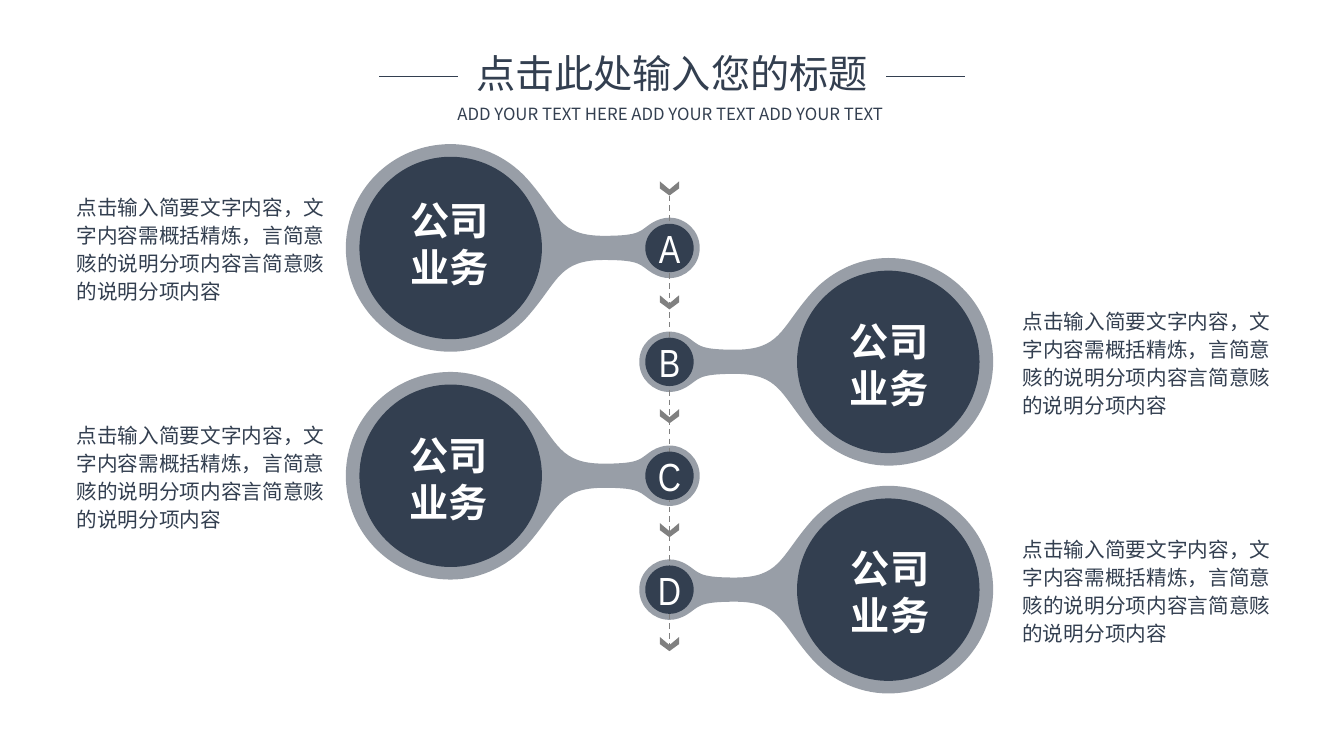
from lxml.etree import SubElement
from pptx import Presentation
from pptx.dml.color import RGBColor
from pptx.enum.dml import MSO_LINE
from pptx.enum.shapes import MSO_CONNECTOR, MSO_SHAPE
from pptx.enum.text import MSO_ANCHOR, MSO_AUTO_SIZE, PP_ALIGN
from pptx.oxml.ns import qn
from pptx.util import Inches, Pt

NAVY, GRAY, WHITE = "333F50", "808080", "FFFFFF"
CJK_FONT, LETTER_FONT = "Noto Sans CJK SC", "Arial Narrow"
BODY = "点击输入简要文字内容，文字内容需概括精炼，言简意赅的说明分项内容言简意赅的说明分项内容"

HUB_X, FIRST_HUB_Y, STEP = 6.64, 2.46, 1.13
HUB_SIZE, DISC_SIZE, DISC_OFFSET = 0.48, 1.81, 2.17

# Letter, side (-1 left, 1 right), label offset from the disc centre
ITEMS = [
    ("A", -1, -0.4, -0.51),
    ("B", 1, -0.38, -0.44),
    ("C", -1, -0.41, -0.44),
    ("D", 1, -0.37, -0.45),
]

# Bezier points of the link's upper edge, relative to the hub centre,
# from the far end of the disc to the far end of the hub
LINK_EDGE = [
    (3.21, 0),
    (3.21, -0.57), (2.75, -1.03), (2.17, -1.03),
    (1.86, -1.03), (1.57, -0.88), (1.38, -0.65),
    (1.10, -0.32), (1.09, -0.12), (0.65, -0.12),
    (0.27, -0.12), (0.30, -0.17), (0.17, -0.25),
    (0.12, -0.28), (0.06, -0.30), (0, -0.30),
    (-0.16, -0.30), (-0.30, -0.17), (-0.30, 0),
]
CHEVRON = [(0, 0.08), (-0.095, 0), (-0.095, 0.07), (0, 0.14), (0.095, 0.07), (0.095, 0)]


def color(value):
    return RGBColor.from_string(value)


def write_text(shape, text, *, size, font=CJK_FONT, fill=NAVY, bold=False,
               align=PP_ALIGN.LEFT, anchor=MSO_ANCHOR.TOP, spacing=None):
    frame = shape.text_frame
    frame.auto_size = MSO_AUTO_SIZE.NONE
    frame.word_wrap = True
    frame.vertical_anchor = anchor
    frame.margin_left = frame.margin_right = 0
    frame.margin_top = frame.margin_bottom = 0
    paragraph = frame.paragraphs[0]
    paragraph.alignment = align
    if spacing:
        paragraph.line_spacing = Pt(spacing)
    run = paragraph.add_run()
    run.text = text
    run.font.size = Pt(size)
    run.font.bold = bold
    run.font.color.rgb = color(fill)
    run.font.name = font
    SubElement(run.font._element, qn("a:ea"), typeface=font)


def add_text(slide, text, left, top, width, height, **text_format):
    box = slide.shapes.add_textbox(Inches(left), Inches(top), Inches(width), Inches(height))
    write_text(box, text, **text_format)


def paint(shape, fill, opacity=None):
    shape.shadow.inherit = False
    shape.fill.solid()
    shape.fill.fore_color.rgb = color(fill)
    shape.line.fill.background()
    if opacity:
        solid = shape._element.spPr.find(qn("a:solidFill"))
        SubElement(solid[0], qn("a:alpha"), val=str(opacity * 1000))


def add_line(slide, x1, y1, x2, y2, stroke, width, dash=None):
    line = slide.shapes.add_connector(
        MSO_CONNECTOR.STRAIGHT, Inches(x1), Inches(y1), Inches(x2), Inches(y2))
    line.line.color.rgb = color(stroke)
    line.line.width = Pt(width)
    if dash:
        line.line.dash_style = dash
    SubElement(line._element.spPr, qn("a:effectLst"))


def add_outline(slide, points, fill, opacity=None):
    start, *rest = [(Inches(x), Inches(y)) for x, y in points]
    builder = slide.shapes.build_freeform(*start)
    builder.add_line_segments(rest, close=True)
    shape = builder.convert_to_shape()
    paint(shape, fill, opacity)
    return shape


def bend_segments(shape):
    """Turn every three straight segments into one Bezier curve."""
    segments = list(shape._element.iter(qn("a:lnTo")))
    for index in range(0, len(segments), 3):
        curve = segments[index]
        curve.tag = qn("a:cubicBezTo")
        for segment in segments[index + 1:index + 3]:
            curve.append(segment[0])
            segment.getparent().remove(segment)


def add_circle(slide, center_x, center_y, size):
    circle = slide.shapes.add_shape(
        MSO_SHAPE.OVAL, Inches(center_x - size / 2), Inches(center_y - size / 2),
        Inches(size), Inches(size))
    paint(circle, NAVY)
    return circle


def add_link(slide, hub_y, side):
    lower_edge = [(x, -y) for x, y in LINK_EDGE[-2::-1]]
    points = [(HUB_X + side * x, hub_y + y) for x, y in LINK_EDGE + lower_edge]
    bend_segments(add_outline(slide, points, NAVY, 50))


def add_header(slide, left, top, width):
    title = slide.shapes.title
    title.left, title.top = Inches(left), Inches(top)
    title.width, title.height = Inches(width), Inches(0.48)
    write_text(title, "点击此处输入您的标题", size=28, align=PP_ALIGN.CENTER,
               anchor=MSO_ANCHOR.MIDDLE)
    for rule_left in (left - 0.86, left + width + 0.08):
        add_line(slide, rule_left, top + 0.28, rule_left + 0.78, top + 0.28, NAVY, 0.5)
    add_text(slide, "ADD YOUR TEXT HERE ADD YOUR TEXT ADD YOUR TEXT",
             left - 0.65, top + 0.55, 5.36, 0.2, size=12, align=PP_ALIGN.CENTER)


def add_timeline(slide, top):
    add_line(slide, HUB_X, top + 0.14, HUB_X, top + 4.6, GRAY, 1, MSO_LINE.DASH)
    for index in range(len(ITEMS) + 1):
        chevron_top = top + index * STEP
        add_outline(slide, [(HUB_X + x, chevron_top + y) for x, y in CHEVRON], GRAY)


def add_item(slide, hub_y, letter, side, label_x, label_y):
    disc_x = HUB_X + side * DISC_OFFSET
    add_circle(slide, disc_x, hub_y, DISC_SIZE)
    hub = add_circle(slide, HUB_X, hub_y, HUB_SIZE)
    write_text(hub, letter, size=28, font=LETTER_FONT, fill=WHITE,
               align=PP_ALIGN.CENTER, anchor=MSO_ANCHOR.MIDDLE)
    add_text(slide, "公司业务", disc_x + label_x, hub_y + label_y, 0.97, 0.94,
             size=28, fill=WHITE, bold=True)
    body_left = 0.76 if side < 0 else 10.14
    add_text(slide, BODY, body_left, hub_y - 0.56, 2.46, 1.12,
             size=14.7, align=PP_ALIGN.JUSTIFY, spacing=20)


def main():
    presentation = Presentation()
    presentation.slide_width, presentation.slide_height = Inches(13.33), Inches(7.5)
    slide = presentation.slides.add_slide(presentation.slide_layouts[5])
    add_header(slide, 4.62, 0.48, 4.09)
    rows = [(FIRST_HUB_Y + index * STEP, item) for index, item in enumerate(ITEMS)]
    for hub_y, item in rows:
        add_link(slide, hub_y, item[1])
    add_timeline(slide, 1.8)
    for hub_y, item in rows:
        add_item(slide, hub_y, *item)
    presentation.save("out.pptx")


if __name__ == "__main__":
    main()
